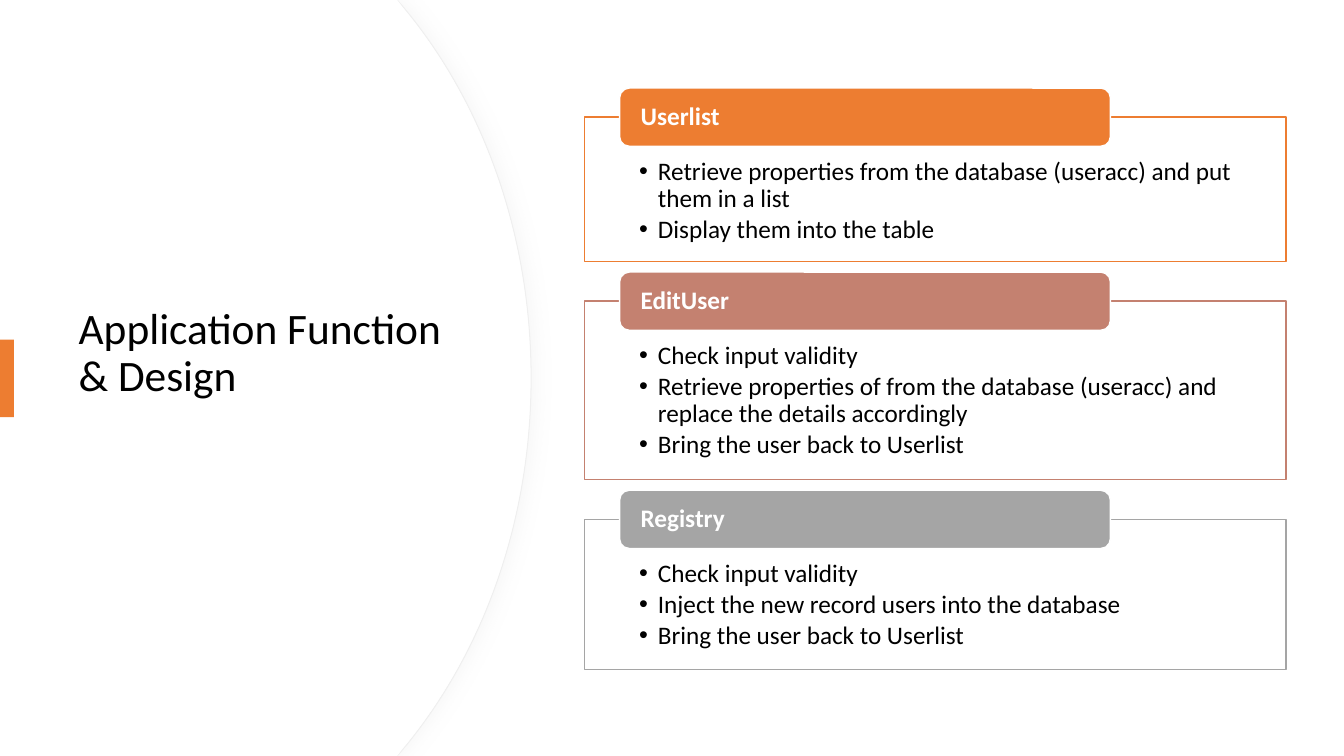
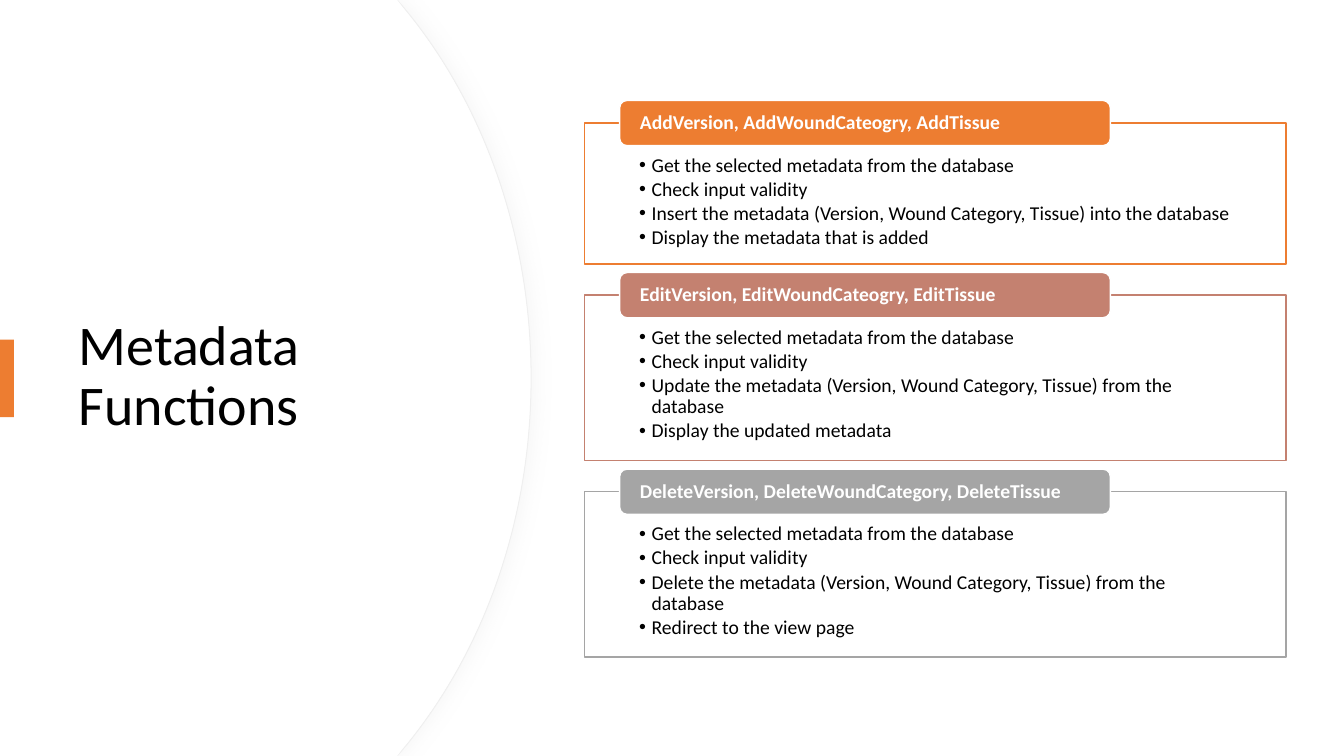
from dataclasses import dataclass

from lxml.etree import SubElement
from pptx import Presentation
from pptx.dml.color import RGBColor
from pptx.enum.shapes import MSO_SHAPE
from pptx.enum.text import MSO_ANCHOR, MSO_AUTO_SIZE, PP_ALIGN
from pptx.oxml.ns import qn
from pptx.util import Pt


@dataclass(frozen=True)
class Theme:
    font: str = "Calibri"
    ink: str = "000000"
    paper: str = "FFFFFF"
    edge: str = "EFEFEF"
    shade: str = "D9D9D9"
    accents: tuple = ("ED7D31", "C48170", "A5A5A5")
    title_large: int = 40
    title_small: int = 31
    body_large: int = 18
    body_small: int = 14


THEME = Theme()
SLIDE_WIDTH, SLIDE_HEIGHT = 960, 540
FRAME_LEFT, FRAME_WIDTH = 417.6, 501
TAB_LEFT, TAB_WIDTH = 442.6, 350.6


def write(paragraph, text, *, size, color=THEME.ink, bold=False, after=0, bullet_indent=0):
    paragraph.alignment = PP_ALIGN.LEFT
    paragraph.line_spacing = 0.9
    paragraph.space_after = Pt(after)
    run = paragraph.add_run()
    run.text = text
    run.font.name = THEME.font
    run.font.size = Pt(size)
    run.font.bold = bold
    run.font.color.rgb = RGBColor.from_string(color)
    if bullet_indent:
        properties = paragraph._p.get_or_add_pPr()
        properties.set("marL", str(Pt(bullet_indent)))
        properties.set("indent", str(-Pt(bullet_indent)))
        SubElement(properties, qn("a:buFont"), typeface="Arial")
        SubElement(properties, qn("a:buChar"), char="•")


def bend(segments):
    first, *others = segments
    curve = first.makeelement(qn("a:cubicBezTo"))
    first.addprevious(curve)
    for segment in (first, *others):
        curve.append(segment[0])
        segment.getparent().remove(segment)


class Deck:
    def __init__(self, theme):
        self.theme = theme
        self.presentation = Presentation()
        self.presentation.slide_width = Pt(SLIDE_WIDTH)
        self.presentation.slide_height = Pt(SLIDE_HEIGHT)
        self.slide = None

    def start(self, title, size, title_top):
        self.slide = self.presentation.slides.add_slide(self.presentation.slide_layouts[5])
        self.disc(379.4, edge=self.theme.edge)
        self.disc(378.7)
        self.title(title, size, title_top)
        self.block(MSO_SHAPE.RECTANGLE, 0, 242.6, 10, 55.4, fill=self.theme.accents[0])

    def style(self, shape, fill, line=None, width=1):
        shape.shadow.inherit = False
        shape.fill.solid()
        shape.fill.fore_color.rgb = RGBColor.from_string(fill)
        if line:
            shape.line.color.rgb = RGBColor.from_string(line)
            shape.line.width = Pt(width)
        else:
            shape.line.fill.background()

    def block(self, kind, left, top, width, height, *, fill, line=None):
        shape = self.slide.shapes.add_shape(kind, Pt(left), Pt(top), Pt(width), Pt(height))
        self.style(shape, fill, line)
        return shape

    def disc(self, right, edge=None):
        upper = [
            (283.7, 0), (right - 90.7, 5.8),
            (right - 34.6, 73.4), (right, 167), (right, SLIDE_HEIGHT / 2),
        ]
        lower = [(x, SLIDE_HEIGHT - y) for x, y in reversed(upper[:-1])]
        outline = self.slide.shapes.build_freeform(0, 0)
        outline.add_line_segments(
            [(Pt(x), Pt(y)) for x, y in [*upper, *lower, (0, SLIDE_HEIGHT)]]
        )
        disc = outline.convert_to_shape()
        segments = list(disc._element.iter(qn("a:lnTo")))
        bend(segments[2:5])
        bend(segments[5:8])
        self.style(disc, self.theme.paper, edge, 0.75)
        if edge:
            effects = disc._element.spPr.find(qn("a:effectLst"))
            shadow = SubElement(
                effects, qn("a:outerShdw"),
                blurRad=str(Pt(12)), dist=str(Pt(3)), dir="0", algn="l", rotWithShape="0",
            )
            shade = SubElement(shadow, qn("a:srgbClr"), val=self.theme.shade)
            SubElement(shade, qn("a:alpha"), val="20000")

    def title(self, text, size, top):
        heading = self.slide.shapes.title
        self.slide.shapes._spTree.append(heading._element)
        heading.left, heading.top = Pt(49), Pt(top)
        heading.width, heading.height = Pt(283.7), Pt(356.4)
        frame = heading.text_frame
        frame.word_wrap = True
        frame.auto_size = MSO_AUTO_SIZE.NONE
        frame.vertical_anchor = MSO_ANCHOR.MIDDLE
        write(frame.paragraphs[0], text, size=size)

    def text_area(self, shape, anchor, side, top=0, bottom=0):
        frame = shape.text_frame
        frame.word_wrap = True
        frame.vertical_anchor = anchor
        frame.margin_left = frame.margin_right = Pt(side)
        frame.margin_top, frame.margin_bottom = Pt(top), Pt(bottom)
        return frame

    def card(self, heading, points, top, height, accent, size, indent):
        panel = self.block(
            MSO_SHAPE.RECTANGLE, FRAME_LEFT, top, FRAME_WIDTH, height,
            fill=self.theme.paper, line=accent,
        )
        paper = panel._element.spPr.find(qn("a:solidFill"))[0]
        SubElement(paper, qn("a:alpha"), val="90000")
        body = self.text_area(panel, MSO_ANCHOR.TOP, 38.9, 1.64 * size, 0.56 * size)
        for index, point in enumerate(points):
            paragraph = body.add_paragraph() if index else body.paragraphs[0]
            write(paragraph, point, size=size, after=0.15 * size, bullet_indent=indent)
        tab_height = 2.31 * size
        tab = self.block(
            MSO_SHAPE.ROUNDED_RECTANGLE, TAB_LEFT, top - tab_height / 2, TAB_WIDTH, tab_height,
            fill=accent, line=self.theme.paper,
        )
        label = self.text_area(tab, MSO_ANCHOR.MIDDLE, 13)
        write(label.paragraphs[0], heading, size=size, color=self.theme.paper, bold=True)

    def cards(self, sections, top, size, indent):
        for (heading, height, points), accent in zip(sections, self.theme.accents):
            self.card(heading, points, top, height, accent, size, indent)
            top += height + 1.58 * size


def metadata_points(action, preposition, closing):
    return (
        "Get the selected metadata from the database",
        "Check input validity",
        f"{action} the metadata (Version, Wound Category, Tissue) {preposition} the database",
        closing,
    )


APPLICATION_SECTIONS = (
    ("Userlist", 103, (
        "Retrieve properties from the database (useracc) and put them in a list",
        "Display them into the table",
    )),
    ("EditUser", 127.4, (
        "Check input validity",
        "Retrieve properties of from the database (useracc) and replace the details accordingly",
        "Bring the user back to Userlist",
    )),
    ("Registry", 107.2, (
        "Check input validity",
        "Inject the new record users into the database",
        "Bring the user back to Userlist",
    )),
)

METADATA_SECTIONS = (
    ("AddVersion, AddWoundCateogry, AddTissue", 100.8,
     metadata_points("Insert", "into", "Display the metadata that is added")),
    ("EditVersion, EditWoundCateogry, EditTissue", 118.3,
     metadata_points("Update", "from", "Display the updated metadata")),
    ("DeleteVersion, DeleteWoundCategory, DeleteTissue", 118.1,
     metadata_points("Delete", "from", "Redirect to the view page")),
)


def main():
    deck = Deck(THEME)
    deck.start("Application Function & Design", THEME.title_small, 74.4)
    deck.cards(APPLICATION_SECTIONS, 83.7, THEME.body_large, 13.5)
    deck.start("Metadata Functions", THEME.title_large, 91.4)
    deck.cards(METADATA_SECTIONS, 87.9, THEME.body_small, 9)
    deck.presentation.save("out.pptx")


if __name__ == "__main__":
    main()
